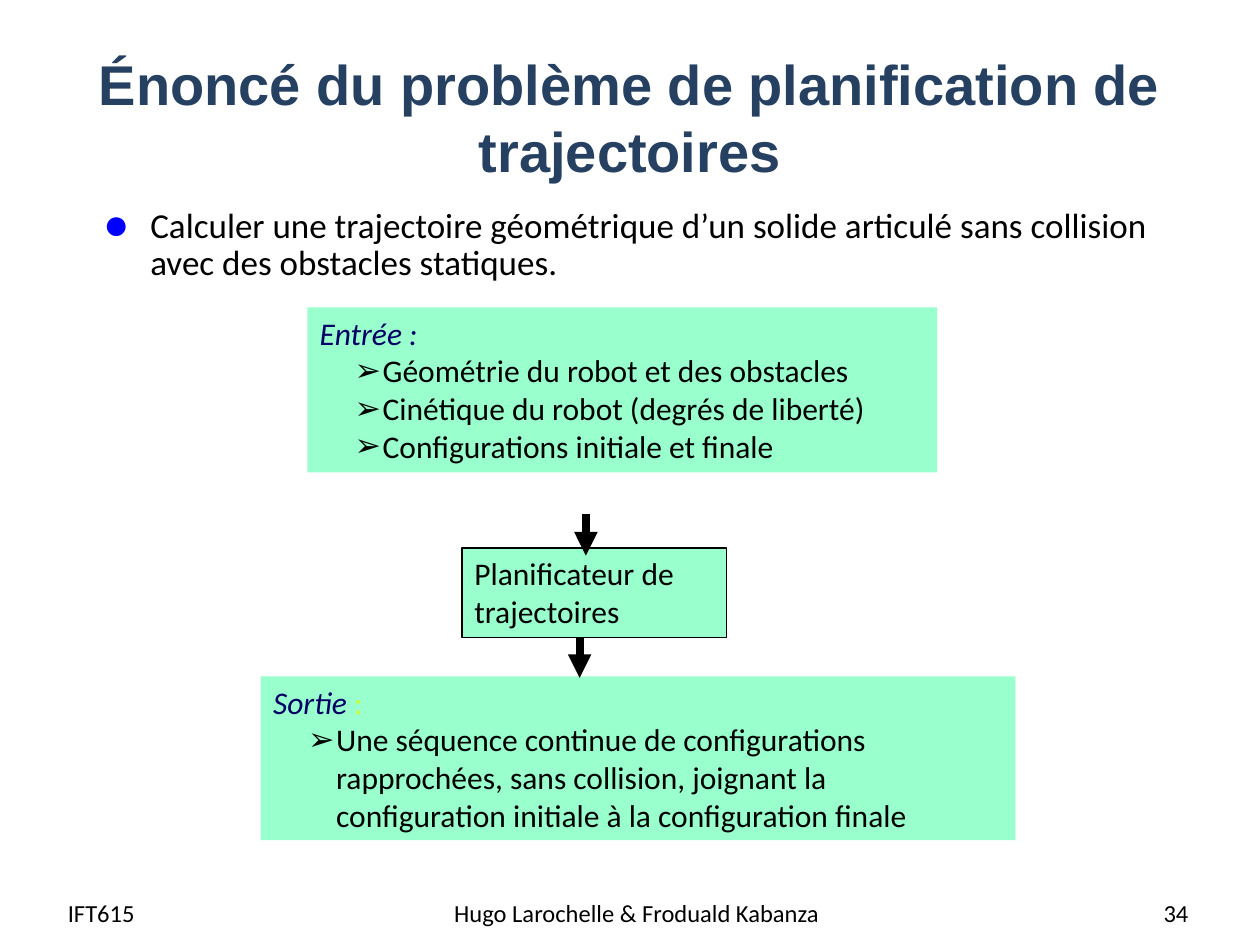
from lxml.etree import SubElement
from pptx import Presentation
from pptx.dml.color import RGBColor
from pptx.enum.shapes import MSO_CONNECTOR, MSO_SHAPE
from pptx.enum.text import MSO_ANCHOR, PP_ALIGN
from pptx.oxml.ns import qn
from pptx.util import Pt

WHITE = RGBColor(0xFF, 0xFF, 0xFF)
BLACK = RGBColor(0, 0, 0)
SLATE = RGBColor(0x25, 0x40, 0x61)
BLUE = RGBColor(0, 0, 0xFF)
NAVY = RGBColor(0, 0, 0x66)
LIME = RGBColor(0xCC, 0xFF, 0x33)
MINT = RGBColor(0x99, 0xFF, 0xCC)


def style(run, size, color=BLACK, name="Calibri", bold=False, italic=False):
    font = run.font
    font.size, font.name = Pt(size), name
    font.bold, font.italic = bold, italic
    font.color.rgb = color


def bullet(para, char, left, hang, color=None, scale=None):
    props = para._p.get_or_add_pPr()
    props.set("marL", str(Pt(left)))
    props.set("indent", str(Pt(-hang)))
    if color is not None:
        fill = SubElement(props, qn("a:buClr"))
        SubElement(fill, qn("a:srgbClr"), val=str(color))
    if scale:
        SubElement(props, qn("a:buSzPct"), val=str(scale * 1000))
    SubElement(props, qn("a:buFont"), typeface="Arial")
    SubElement(props, qn("a:buChar"), char=char)


def add_text(slide, box, text, size, align=PP_ALIGN.LEFT,
             anchor=MSO_ANCHOR.MIDDLE, **look):
    frame = slide.shapes.add_textbox(*map(Pt, box)).text_frame
    frame.word_wrap = True
    frame.vertical_anchor = anchor
    frame.text = text
    para = frame.paragraphs[0]
    para.alignment = align
    style(para.runs[0], size, **look)
    return para


def add_intro(slide, box):
    para = add_text(
        slide, box,
        "Calculer une trajectoire géométrique d’un solide articulé "
        "sans collision avec des obstacles statiques.",
        20, anchor=MSO_ANCHOR.TOP)
    para.line_spacing = 0.9
    bullet(para, "●", 27, 27, BLUE, 125)


def add_panel(slide, box, head, items=(), border=False):
    """Mint box: head is a list of (text, colour, italic) runs."""
    shape = slide.shapes.add_shape(MSO_SHAPE.RECTANGLE, *map(Pt, box))
    shape.shadow.inherit = False
    shape.fill.solid()
    shape.fill.fore_color.rgb = MINT
    if border:
        shape.line.color.rgb = BLACK
        shape.line.width = Pt(0.75)
    else:
        shape.line.fill.background()
    frame = shape.text_frame
    frame.word_wrap = True
    frame.vertical_anchor = MSO_ANCHOR.TOP
    frame.margin_right = Pt(14)
    para = frame.paragraphs[0]
    para.alignment = PP_ALIGN.LEFT
    for text, color, italic in head:
        run = para.add_run()
        run.text = text
        style(run, 18, color, italic=italic)
    for item in items:
        para = frame.add_paragraph()
        para.text = item
        para.level = 1
        para.alignment = PP_ALIGN.LEFT
        bullet(para, "➢", 36, 16)
        style(para.runs[0], 18)


def add_arrow(slide, x, top, bottom):
    line = slide.shapes.add_connector(
        MSO_CONNECTOR.STRAIGHT, Pt(x), Pt(top), Pt(x), Pt(bottom))
    line.line.color.rgb = BLACK
    line.line.width = Pt(4.5)
    SubElement(line.line._get_or_add_ln(), qn("a:tailEnd"), type="triangle")
    SubElement(line._element.spPr, qn("a:effectLst"))


def add_flow(slide, box):
    """Input, planner and output, stacked and linked by arrows."""
    left, top, width, height = box
    add_panel(slide, (left + 115, top + 137.5, 151.2, 51.2),
              [("Planificateur de trajectoires", BLACK, False)], border=True)
    add_panel(slide, (left + 26.6, top, 360, 94.3),
              [("Entrée :", NAVY, True)],
              ["Géométrie du robot et des obstacles",
               "Cinétique du robot (degrés de liberté)",
               "Configurations initiale et finale"])
    add_panel(slide, (left, top + height - 93.6, width, 93.6),
              [("Sortie", NAVY, True), (" :", LIME, False)],
              ["Une séquence continue de configurations rapprochées, "
               "sans collision, joignant la configuration initiale "
               "à la configuration finale"])
    add_arrow(slide, left + 185.8, top + 118, top + 141.8)
    add_arrow(slide, left + 182.2, top + 188.6, top + 211.7)


def add_footer(slide, top, height):
    for left, width, text, align in (
            (31.7, 139, "IFT615", PP_ALIGN.LEFT),
            (249.8, 228.2, "Hugo Larochelle & Froduald Kabanza",
             PP_ALIGN.CENTER),
            (518.4, 167.8, "34", PP_ALIGN.RIGHT)):
        add_text(slide, (left, top, width, height), text, 14, align)


def main():
    deck = Presentation()
    deck.slide_width, deck.slide_height = Pt(720), Pt(540)
    slide = deck.slides.add_slide(deck.slide_layouts[6])
    slide.background.fill.solid()
    slide.background.fill.fore_color.rgb = WHITE
    add_text(slide, (36, 21.6, 648, 90),
             "Énoncé du problème de planification de trajectoires", 32,
             PP_ALIGN.CENTER, color=SLATE, name="Arial", bold=True)
    add_intro(slide, (51.8, 115.2, 647.3, 368))
    add_flow(slide, (149, 175.7, 431.3, 304.5))
    add_footer(slide, 506.9, 28.8)
    deck.save("out.pptx")


if __name__ == "__main__":
    main()
